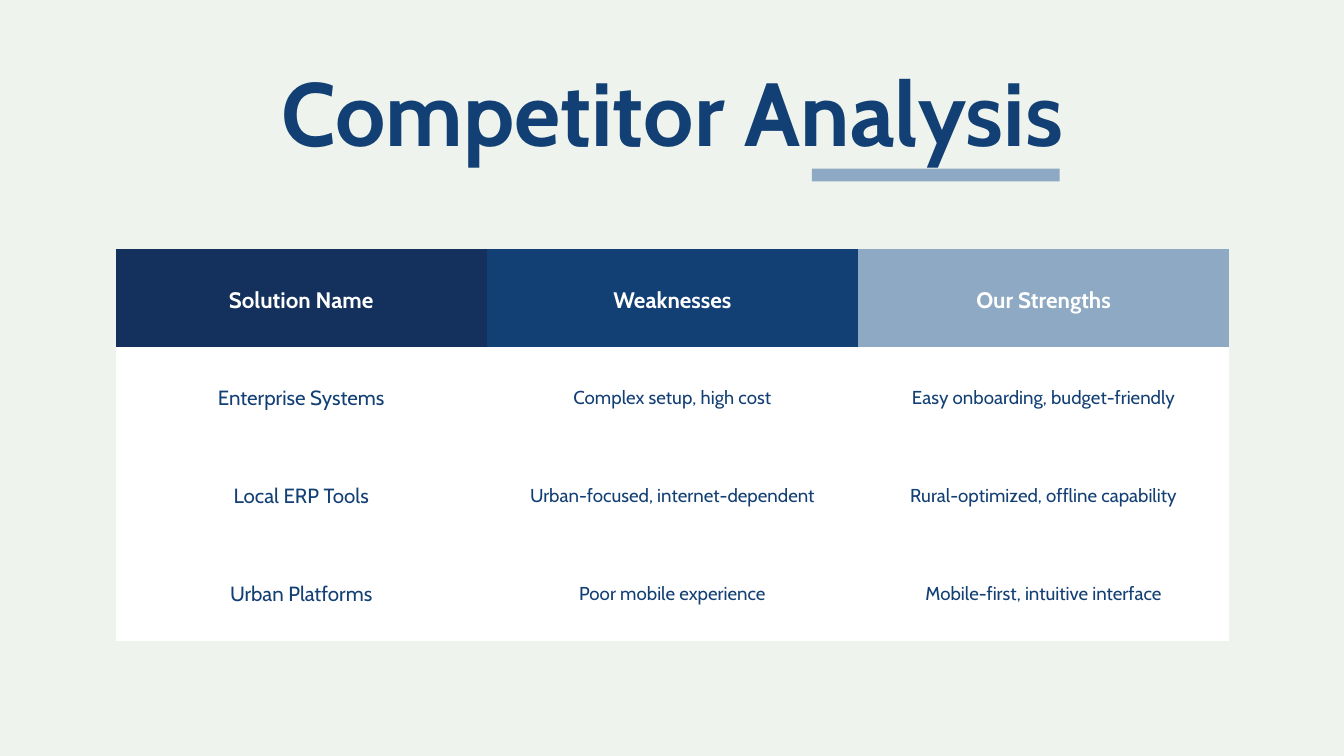
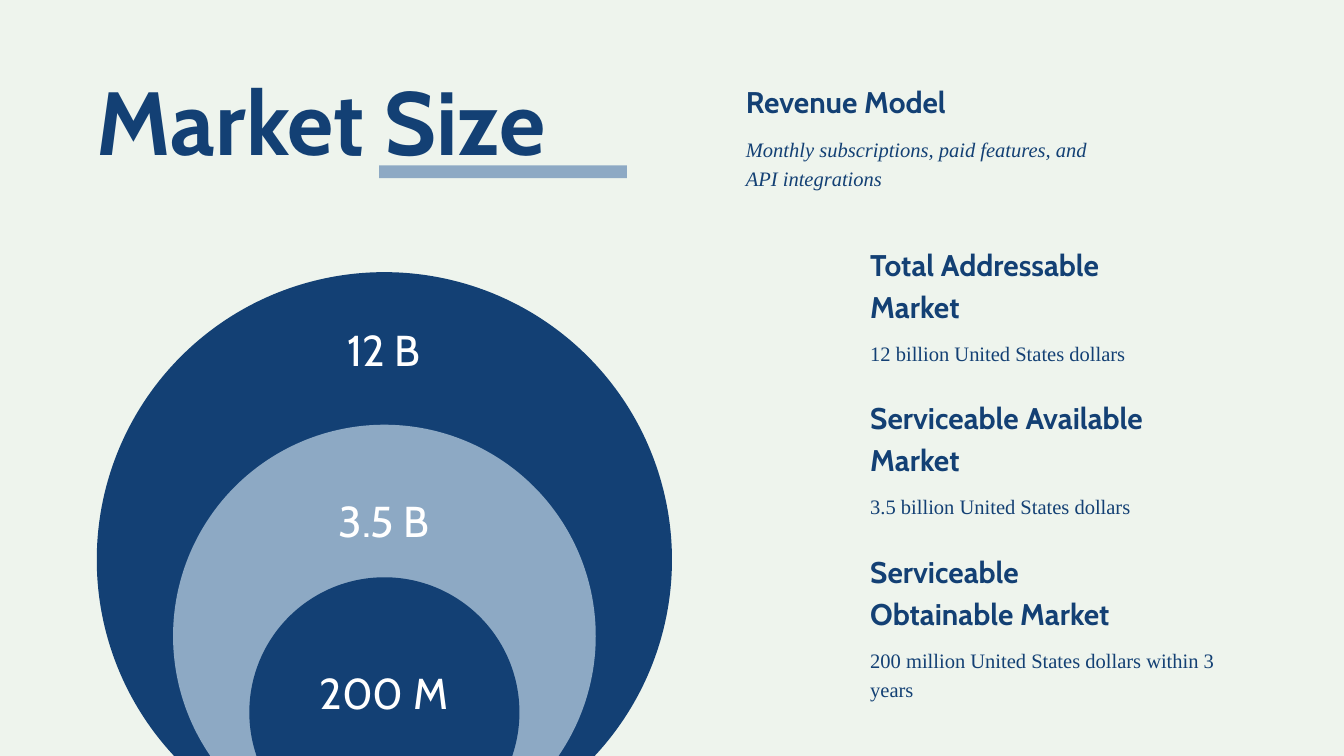
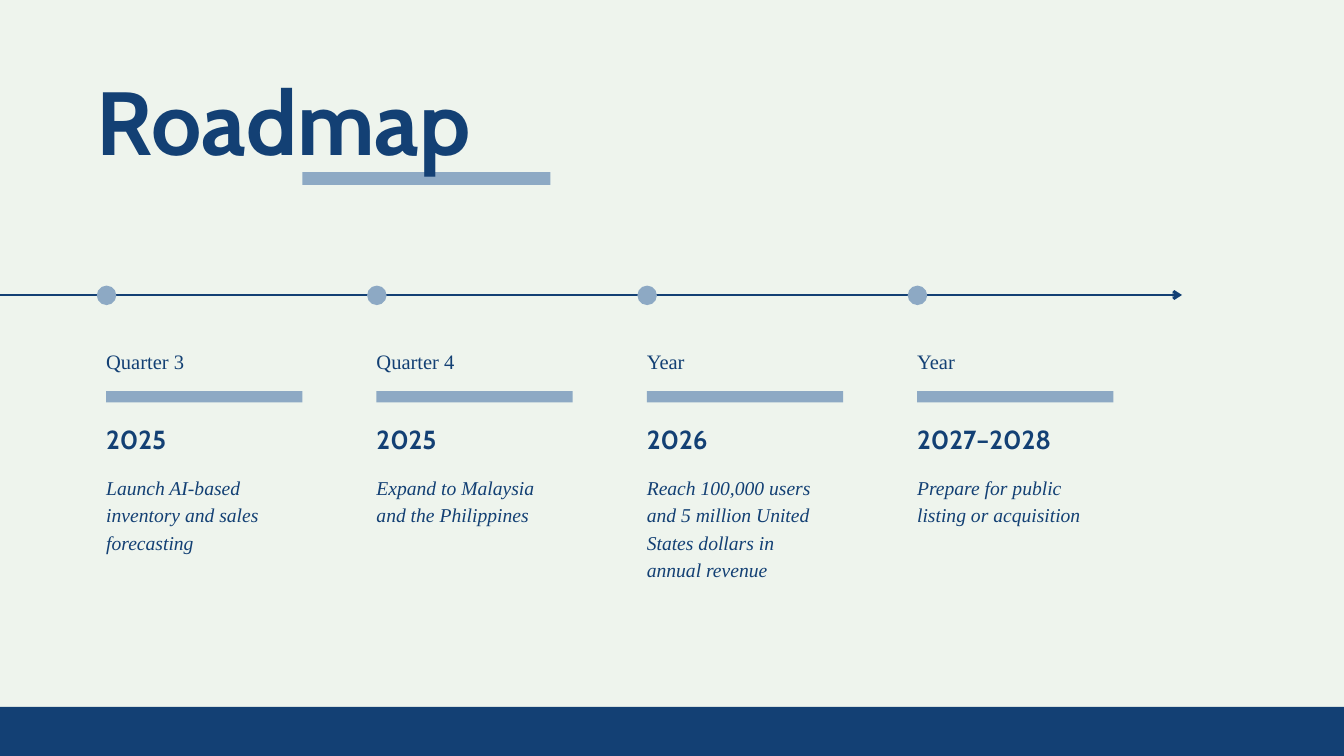
import pptx
import pptx.util
import pptx.dml.color
import pptx.enum.text
import pptx.enum.shapes
import pptx.oxml
import pptx.oxml.ns
from collections import namedtuple

Inches = pptx.util.Inches
Pt = pptx.util.Pt
Align = pptx.enum.text.PP_ALIGN
Anchor = pptx.enum.text.MSO_ANCHOR
Shape = pptx.enum.shapes.MSO_SHAPE
qn = pptx.oxml.ns.qn

COLORS = {"paper": "EEF4ED", "night": "13315C", "navy": "134074",
          "mist": "8DA9C4", "white": "FFFFFF"}

Box = namedtuple("Box", "left top width height")
Style = namedtuple("Style", "font size lead bold italic color align",
                   defaults=(False, False, "navy", Align.LEFT))

SANS, SERIF = "Cabin", "Times New Roman"
STYLES = {
    "title": Style(SANS, 96, 134.4, bold=True),
    "center": Style(SANS, 96, 96, bold=True, align=Align.CENTER),
    "header": Style(SANS, 24, 33.6, bold=True, color="white", align=Align.CENTER),
    "name": Style(SANS, 22, 30.8, align=Align.CENTER),
    "cell": Style(SANS, 20, 28, align=Align.CENTER),
    "value": Style(SANS, 46.3, 64.8, color="white", align=Align.CENTER),
    "head": Style(SANS, 32, 44.8, bold=True),
    "body": Style(SERIF, 22, 30.8),
    "accent": Style(SERIF, 22, 30.8, italic=True),
    "year": Style(SANS, 28, 33.6, bold=True),
    "goal": Style(SERIF, 21, 29.4, italic=True),
}

TABLE = [
    ("Solution Name", "Weaknesses", "Our Strengths"),
    ("Enterprise Systems", "Complex setup, high cost", "Easy onboarding, budget-friendly"),
    ("Local ERP Tools", "Urban-focused, internet-dependent", "Rural-optimized, offline capability"),
    ("Urban Platforms", "Poor mobile experience", "Mobile-first, intuitive interface"),
]
RINGS = [("12 B", "navy"), ("3.5 B", "mist"), ("200 M", "navy")]
MARKETS = [
    ("Total Addressable Market", "12 billion United States dollars"),
    ("Serviceable Available Market", "3.5 billion United States dollars"),
    ("Serviceable Obtainable Market", "200 million United States dollars within 3 years"),
]
STEPS = [
    ("Quarter 3", "2025", "Launch AI-based inventory and sales forecasting"),
    ("Quarter 4", "2025", "Expand to Malaysia and the Philippines"),
    ("Year", "2026", "Reach 100,000 users and 5 million United States dollars in annual revenue"),
    ("Year", "2027–2028", "Prepare for public listing or acquisition"),
]


def color(name):
    """Return a named colour."""
    return pptx.dml.color.RGBColor.from_string(COLORS[name])


def inches(box):
    """Turn the sides of a box into lengths."""
    return [Inches(side) for side in box]


def write(frame, words, look):
    """Write one styled run into the first paragraph of a frame."""
    style = STYLES[look]
    para = frame.paragraphs[0]
    para.alignment = style.align
    para.line_spacing = Pt(style.lead)
    run = para.add_run()
    run.text = words
    font = run.font
    font.name, font.size = style.font, Pt(style.size)
    font.bold, font.italic = style.bold, style.italic
    font.color.rgb = color(style.color)


def fit(frame):
    """Strip a frame's margins and let it wrap from the top."""
    frame.margin_left = frame.margin_right = 0
    frame.margin_top = frame.margin_bottom = 0
    frame.word_wrap = True
    frame.auto_size = pptx.enum.text.MSO_AUTO_SIZE.NONE
    frame.vertical_anchor = Anchor.TOP


def add_text(slide, box, words, look):
    """Add a text box."""
    frame = slide.shapes.add_textbox(*inches(box)).text_frame
    fit(frame)
    write(frame, words, look)


def add_form(slide, kind, box, fill):
    """Add a flat filled shape."""
    form = slide.shapes.add_shape(kind, *inches(box))
    form.shadow.inherit = False
    form.fill.solid()
    form.fill.fore_color.rgb = color(fill)
    form.line.fill.background()
    return form


def add_title(slide, box, words, look, left, top):
    """Set the title and put its underline behind it."""
    title = slide.shapes.title
    title.left, title.top, title.width, title.height = inches(box)
    fit(title.text_frame)
    write(title.text_frame, words, look)
    bar = add_form(slide, Shape.RECTANGLE, Box(left, top, 3.69, 0.19), "mist")
    title._element.addprevious(bar._element)


def add_grid(slide, box):
    """Add the competitor table."""
    rows, cols = len(TABLE), len(TABLE[0])
    grid = slide.shapes.add_table(rows, cols, *inches(box)).table
    grid.first_row = grid.horz_banding = False
    for row, texts in enumerate(TABLE):
        grid.rows[row].height = Inches(box.height / rows)
        for col, words in enumerate(texts):
            cell = grid.cell(row, col)
            cell.margin_left = cell.margin_right = Inches(0.21)
            cell.margin_top = cell.margin_bottom = Inches(0.21)
            cell.vertical_anchor = Anchor.MIDDLE
            cell.fill.solid()
            fill = ("night", "navy", "mist")[col] if row == 0 else "white"
            cell.fill.fore_color.rgb = color(fill)
            look = "header" if row == 0 else "cell" if col else "name"
            write(cell.text_frame, words, look)
            clear_edges(cell)


def clear_edges(cell):
    """Hide the four borders of a cell."""
    props = cell._tc.get_or_add_tcPr()
    for spot, side in enumerate("LRTB"):
        edge = pptx.oxml.parse_xml(
            f'<a:ln{side} {pptx.oxml.ns.nsdecls("a")} w="0"><a:noFill/></a:ln{side}>')
        props.insert(spot, edge)


def add_rings(slide, box):
    """Nest circles that share the foot of the box."""
    mid, foot = box.left + box.width / 2, box.top + box.height
    for step, (words, fill) in enumerate(RINGS):
        size = box.width - 2.27 * step
        add_form(slide, Shape.OVAL, Box(mid - size / 2, foot - size, size, size), fill)
        add_text(slide, Box(mid - 1.03, box.top + 0.63 + 2.55 * step, 2.05, 0.86),
                 words, "value")


def add_note(slide, box, head, body, gap, look="body"):
    """Add a heading with its text a gap below."""
    add_text(slide, box._replace(width=4.09, height=gap - 0.22), head, "head")
    add_text(slide, box._replace(top=box.top + gap, height=box.height - gap), body, look)


def add_steps(slide, box):
    """Draw the time line with evenly spaced steps."""
    line = slide.shapes.add_connector(
        pptx.enum.shapes.MSO_CONNECTOR.STRAIGHT, 0, Inches(box.top),
        Inches(17.59), Inches(box.top))
    line.line.color.rgb = color("navy")
    line.line.width = Pt(3)
    tail = line.line._get_or_add_ln().makeelement(qn("a:tailEnd"), {"type": "arrow"})
    line.line._get_or_add_ln().append(tail)
    props = line._element.spPr
    props.append(props.makeelement(qn("a:effectLst"), {}))
    for step, (term, year, goal) in enumerate(STEPS):
        left, top = box.left + step * box.width / len(STEPS), box.top
        add_form(slide, Shape.OVAL, Box(left - 0.14, top - 0.14, 0.29, 0.29), "mist")
        add_text(slide, Box(left, top + 0.74, 1.98, 0.41), term, "body")
        add_form(slide, Shape.RECTANGLE, Box(left, top + 1.43, 2.92, 0.17), "mist")
        add_text(slide, Box(left, top + 1.91, 2.52, 0.46), year, "year")
        add_text(slide, Box(left, top + 2.63, 2.52, box.height - 2.63), goal, "goal")


def main():
    """Build the deck."""
    deck = pptx.Presentation()
    deck.slide_width, deck.slide_height = Inches(20), Inches(11.25)
    back = deck.slide_master.background.fill
    back.solid()
    back.fore_color.rgb = color("paper")
    rivals, market, road = [
        deck.slides.add_slide(deck.slide_layouts[5]) for _ in range(3)]

    add_title(rivals, Box(3.38, 1.11, 13.25, 1.4), "Competitor Analysis", "center", 12.08, 2.51)
    add_grid(rivals, Box(1.72, 3.71, 16.57, 5.83))

    add_title(market, Box(1.44, 0.72, 7.43, 1.8), "Market Size", "title", 5.64, 2.46)
    add_rings(market, Box(1.44, 4.05, 8.56, 8.56))
    add_note(market, Box(11.1, 1.16, 5.26, 1.64), "Revenue Model",
             "Monthly subscriptions, paid features, and API integrations", 0.82, "accent")
    for row, (head, body) in enumerate(MARKETS):
        add_note(market, Box(12.95, 3.58 + 2.285 * row, 5.26, 2.26), head, body, 1.43)

    add_title(road, Box(1.44, 0.72, 6.13, 1.8), "Roadmap", "title", 4.5, 2.56)
    add_steps(road, Box(1.58, 4.39, 16.09, 4.64))
    add_form(road, Shape.RECTANGLE, Box(0, 10.52, 20, 0.83), "navy")
    deck.save("out.pptx")


if __name__ == "__main__":
    main()
